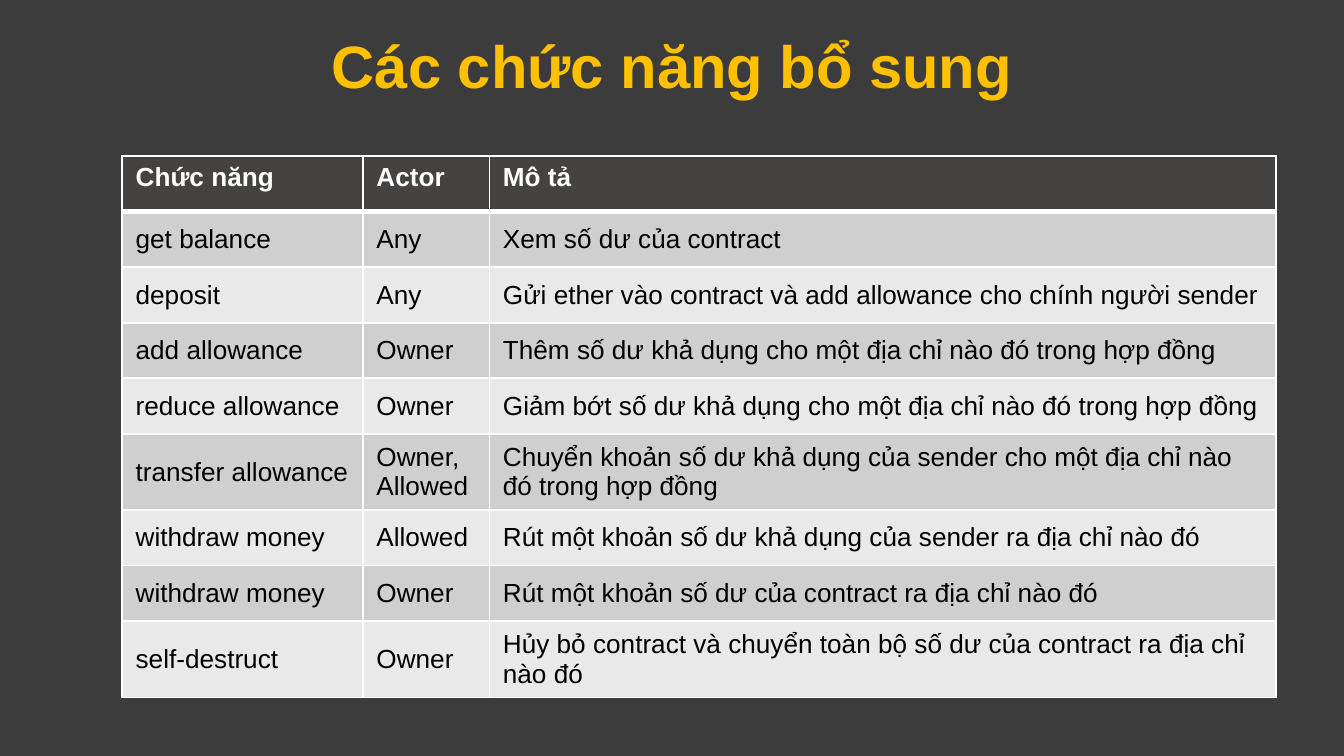
"""Build a slide with a table of additional contract functions."""
import lxml.etree
import pptx
import pptx.dml.color
import pptx.enum.text
import pptx.oxml.ns
import pptx.util
from pptx.util import Cm

BACKGROUND = pptx.dml.color.RGBColor(0x3C, 0x3C, 0x3C)
GOLD = pptx.dml.color.RGBColor(0xFF, 0xC0, 0x00)
WHITE = pptx.dml.color.RGBColor(0xFF, 0xFF, 0xFF)
BLACK = pptx.dml.color.RGBColor(0x00, 0x00, 0x00)
HEADER_FILL = pptx.dml.color.RGBColor(0x44, 0x43, 0x42)
DARK_BAND = pptx.dml.color.RGBColor(0xCF, 0xCF, 0xCF)
LIGHT_BAND = pptx.dml.color.RGBColor(0xE9, 0xE9, 0xE9)

FONT = "Arial"
COLUMN_WIDTHS = [Cm(4.55), Cm(2.39), Cm(14.86)]
ROW_HEIGHT = Cm(1.05)
ROWS = [
    ("Chức năng", "Actor", "Mô tả"),
    ("get balance", "Any", "Xem số dư của contract"),
    ("deposit", "Any", "Gửi ether vào contract và add allowance cho chính người sender"),
    ("add allowance", "Owner", "Thêm số dư khả dụng cho một địa chỉ nào đó trong hợp đồng"),
    ("reduce allowance", "Owner", "Giảm bớt số dư khả dụng cho một địa chỉ nào đó trong hợp đồng"),
    ("transfer allowance", "Owner, Allowed",
     "Chuyển khoản số dư khả dụng của sender cho một địa chỉ nào\nđó trong hợp đồng"),
    ("withdraw money", "Allowed", "Rút một khoản số dư khả dụng của sender ra địa chỉ nào đó"),
    ("withdraw money", "Owner", "Rút một khoản số dư của contract ra địa chỉ nào đó"),
    ("self-destruct", "Owner",
     "Hủy bỏ contract và chuyển toàn bộ số dư của contract ra địa chỉ nào đó"),
]


def set_font(para, size, color, bold):
    para.font.name = FONT
    para.font.size = pptx.util.Pt(size)
    para.font.color.rgb = color
    para.font.bold = bold


def add_title(page, text):
    box = page.shapes.add_textbox(Cm(3.81), Cm(0.43), Cm(17.8), Cm(1.6))
    frame = box.text_frame
    frame.word_wrap = True
    frame.vertical_anchor = pptx.enum.text.MSO_ANCHOR.MIDDLE
    frame.text = text
    para = frame.paragraphs[0]
    para.alignment = pptx.enum.text.PP_ALIGN.CENTER
    para.space_before = pptx.util.Pt(6.4)
    set_font(para, 32, GOLD, True)


def set_borders(cell, top, bottom):
    properties = cell._tc.get_or_add_tcPr()
    widths = {"a:lnL": 1, "a:lnR": 1, "a:lnT": top, "a:lnB": bottom}
    for position, (tag, width) in enumerate(widths.items()):
        line = lxml.etree.Element(pptx.oxml.ns.qn(tag), w=str(pptx.util.Pt(width)))
        fill = lxml.etree.SubElement(line, pptx.oxml.ns.qn("a:solidFill"))
        lxml.etree.SubElement(fill, pptx.oxml.ns.qn("a:srgbClr"), val=str(WHITE))
        properties.insert(position, line)


def fill_cell(cell, text, row_index):
    is_header = row_index == 0
    cell.text = text
    cell.fill.solid()
    if is_header:
        cell.fill.fore_color.rgb = HEADER_FILL
    else:
        cell.fill.fore_color.rgb = DARK_BAND if row_index % 2 else LIGHT_BAND
        cell.vertical_anchor = pptx.enum.text.MSO_ANCHOR.MIDDLE
    for para in cell.text_frame.paragraphs:
        set_font(para, 14, WHITE if is_header else BLACK, is_header)
    set_borders(cell, top=3 if row_index == 1 else 1, bottom=3 if is_header else 1)


def add_function_table(page):
    table = page.shapes.add_table(
        len(ROWS), len(COLUMN_WIDTHS), Cm(2.31), Cm(2.95),
        sum(COLUMN_WIDTHS), ROW_HEIGHT * len(ROWS)).table
    for column, width in zip(table.columns, COLUMN_WIDTHS):
        column.width = width
    for row_index, texts in enumerate(ROWS):
        table.rows[row_index].height = ROW_HEIGHT
        for column_index, text in enumerate(texts):
            fill_cell(table.cell(row_index, column_index), text, row_index)


def main():
    deck = pptx.Presentation()
    deck.slide_width, deck.slide_height = Cm(25.4), Cm(14.29)
    page = deck.slides.add_slide(deck.slide_layouts[6])
    page.background.fill.solid()
    page.background.fill.fore_color.rgb = BACKGROUND
    add_title(page, "Các chức năng bổ sung")
    add_function_table(page)
    deck.save("out.pptx")


if __name__ == "__main__":
    main()
